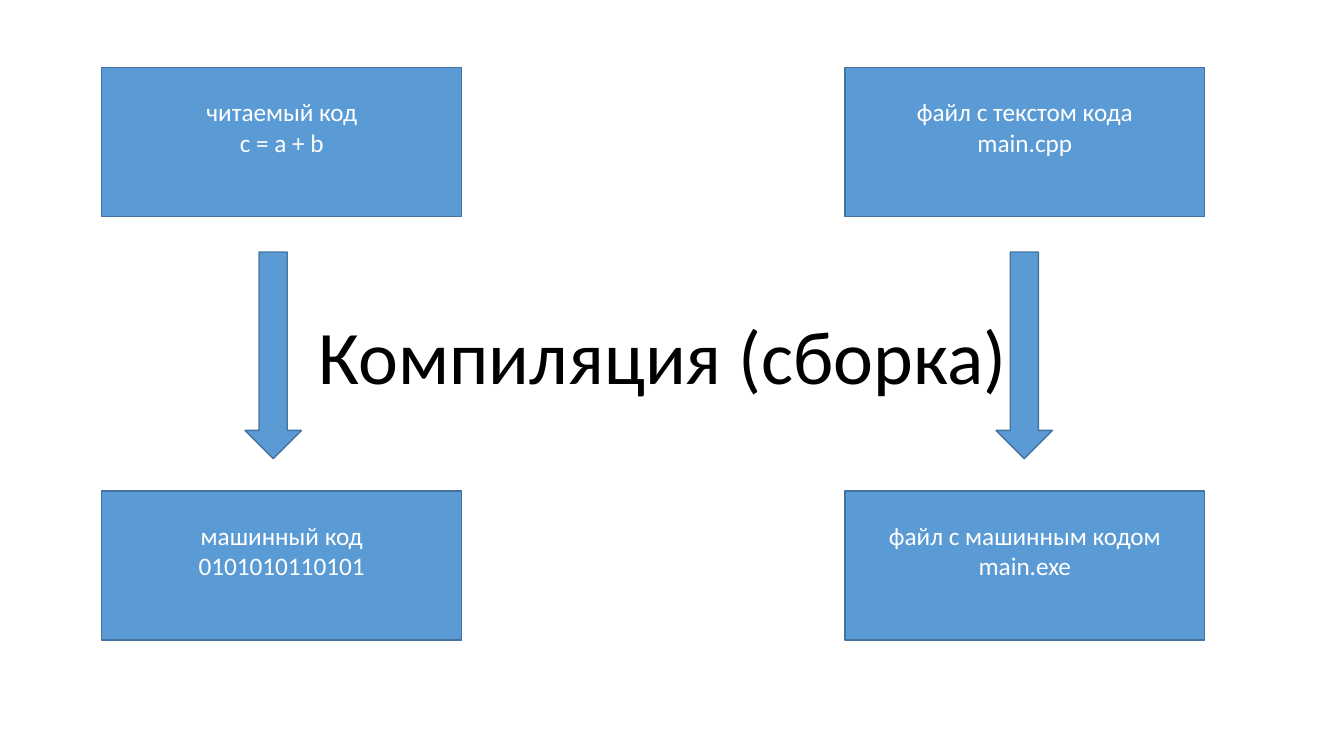
from dataclasses import dataclass

from pptx import Presentation
from pptx.dml.color import RGBColor
from pptx.enum.shapes import MSO_SHAPE
from pptx.enum.text import MSO_ANCHOR, MSO_AUTO_SIZE, PP_ALIGN
from pptx.util import Inches, Pt

RECTANGLE = MSO_SHAPE.RECTANGLE
DOWN_ARROW = MSO_SHAPE.DOWN_ARROW
TOP, MIDDLE = MSO_ANCHOR.TOP, MSO_ANCHOR.MIDDLE
LEFT, CENTER = PP_ALIGN.LEFT, PP_ALIGN.CENTER
GROW = MSO_AUTO_SIZE.SHAPE_TO_FIT_TEXT

FILL, OUTLINE, WHITE, BLACK = "5B9BD5", "43739E", "FFFFFF", "000000"
FONT = "Calibri"
BOX_WIDTH, BOX_HEIGHT = 3.57, 1.48
SOURCE_TOP, RESULT_TOP = 0.67, 4.87
ARROW_TOP, ARROW_WIDTH, ARROW_HEIGHT = 2.5, 0.56, 2.05


@dataclass
class Stage:
    caption: str
    example: str


@dataclass
class Column:
    left: float
    arrow_left: float
    source: Stage
    result: Stage


COLUMNS = [
    Column(1.01, 2.43, Stage("читаемый код", "c = a + b"),
           Stage("машинный код", "0101010110101")),
    Column(8.38, 9.88, Stage("файл с текстом кода", "main.cpp"),
           Stage("файл с машинным кодом", "main.exe")),
]


def color(value: str) -> RGBColor:
    return RGBColor.from_string(value)


def apply_format(target, values: dict) -> None:
    for name, value in values.items():
        setattr(target, name, value)


def format_run(run, size: float, font_color: str) -> None:
    apply_format(run.font, {"name": FONT, "size": Pt(size)})
    run.font.color.rgb = color(font_color)


def add_block(slide, kind, left: float, top: float, width: float, height: float):
    shape = slide.shapes.add_shape(
        kind, Inches(left), Inches(top), Inches(width), Inches(height))
    shape.shadow.inherit = False
    shape.fill.solid()
    shape.fill.fore_color.rgb = color(FILL)
    shape.line.color.rgb = color(OUTLINE)
    shape.line.width = Pt(1)
    return shape


def add_stage(slide, stage: Stage, left: float, top: float) -> None:
    shape = add_block(slide, RECTANGLE, left, top, BOX_WIDTH, BOX_HEIGHT)
    apply_format(shape.text_frame, {
        "word_wrap": True, "vertical_anchor": MIDDLE, "margin_bottom": Inches(0.35)})
    paragraph = shape.text_frame.paragraphs[0]
    paragraph.alignment = CENTER
    paragraph.add_run().text = stage.caption
    paragraph.add_line_break()
    paragraph.add_run().text = stage.example
    for run in paragraph.runs:
        format_run(run, 18, WHITE)


def set_title(slide, text: str) -> None:
    title = slide.shapes.title
    apply_format(title, {"left": Inches(3.06), "top": Inches(3.01),
                         "width": Inches(7.1), "height": Inches(1.01)})
    title.text_frame.text = text
    apply_format(title.text_frame, {
        "word_wrap": False, "auto_size": GROW, "vertical_anchor": TOP})
    paragraph = title.text_frame.paragraphs[0]
    paragraph.alignment = LEFT
    format_run(paragraph.runs[0], 54, BLACK)


def main() -> None:
    presentation = Presentation()
    apply_format(presentation, {"slide_width": Inches(13.33), "slide_height": Inches(7.5)})
    slide = presentation.slides.add_slide(presentation.slide_layouts.get_by_name("Title Only"))
    set_title(slide, "Компиляция (сборка)")
    for column in COLUMNS:
        add_stage(slide, column.source, column.left, SOURCE_TOP)
        add_stage(slide, column.result, column.left, RESULT_TOP)
        add_block(slide, DOWN_ARROW, column.arrow_left, ARROW_TOP, ARROW_WIDTH, ARROW_HEIGHT)
    presentation.save("out.pptx")


if __name__ == "__main__":
    main()
